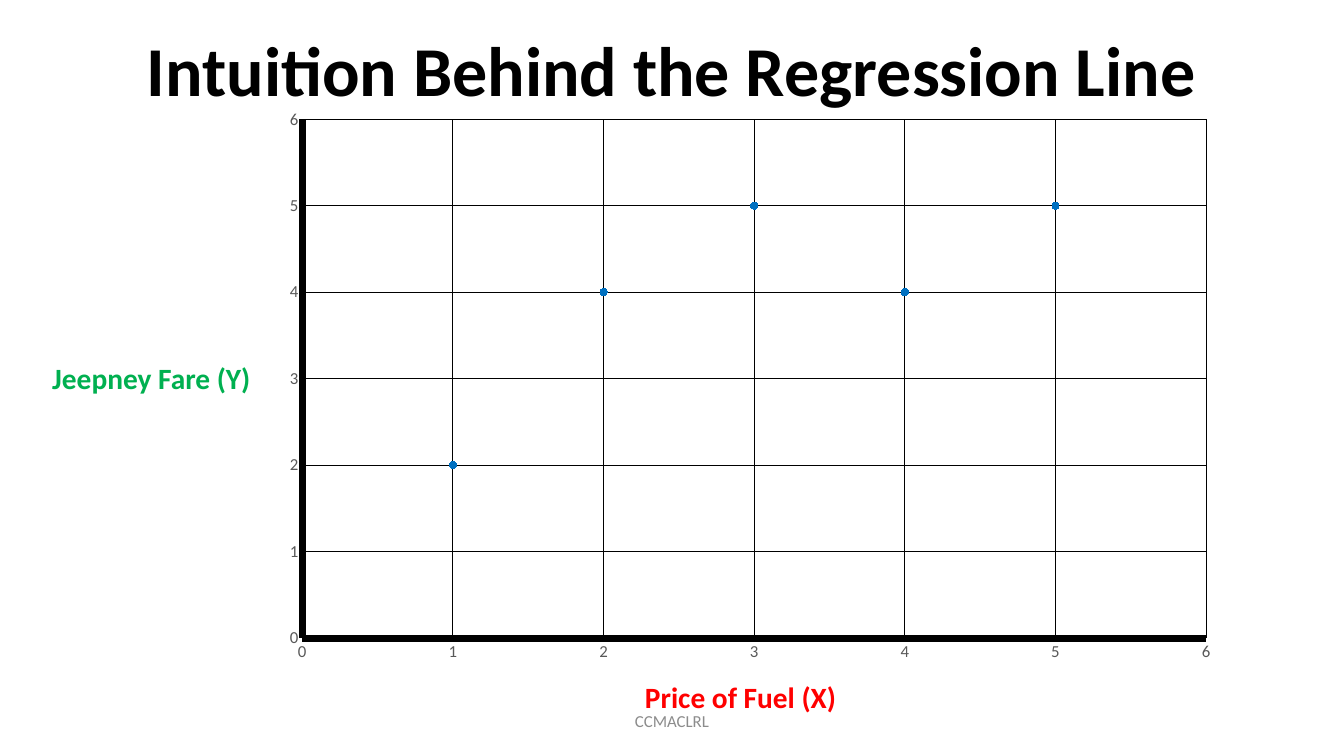
from lxml.etree import SubElement
from pptx import Presentation
from pptx.chart.data import XyChartData
from pptx.dml.color import RGBColor
from pptx.enum.chart import XL_CHART_TYPE, XL_MARKER_STYLE, XL_TICK_MARK
from pptx.enum.text import MSO_ANCHOR, PP_ALIGN
from pptx.oxml.ns import qn
from pptx.util import Pt


def rgb(value):
    return RGBColor.from_string(value)


def set_font(font, size, color, bold=False):
    values = {"name": "Calibri", "size": Pt(size), "bold": bold}
    for key, value in values.items():
        setattr(font, key, value)
    font.color.rgb = rgb(color)


prs = Presentation()
prs.slide_width, prs.slide_height = Pt(960), Pt(540)
s = prs.slides.add_slide(prs.slide_layouts[6])

data = XyChartData()
fares = data.add_series("Series 1")
for fuel, fare in enumerate([2, 4, 5, 4, 5], start=1):
    fares.add_data_point(fuel, fare)

chart = s.shapes.add_chart(
    XL_CHART_TYPE.XY_SCATTER, Pt(188.6), Pt(77.8), Pt(683.3), Pt(411.8), data
).chart
chart.has_legend = False
chart.has_title = False
set_font(chart.font, 10, "000000")

axis_format = {
    "minimum_scale": 0,
    "maximum_scale": 6,
    "major_unit": 1,
    "has_major_gridlines": True,
    "major_tick_mark": XL_TICK_MARK.NONE,
    "minor_tick_mark": XL_TICK_MARK.NONE,
}
for axis in (chart.category_axis, chart.value_axis):
    for key, value in axis_format.items():
        setattr(axis, key, value)
    set_font(axis.tick_labels.font, 12, "595959")
    for line, width in ((axis.format.line, 5), (axis.major_gridlines.format.line, 0.75)):
        line.color.rgb = rgb("000000")
        line.width = Pt(width)

plot = chart.plots[0]
plot.vary_by_categories = False
series = plot.series[0]
series.smooth = False
series.format.line.fill.background()
marker = series.marker
marker.style = XL_MARKER_STYLE.CIRCLE
marker.size = 5
marker.format.fill.solid()
marker.format.fill.fore_color.rgb = rgb("0070C0")
marker.format.line.color.rgb = rgb("0070C0")

plot_area = chart.element.find(".//" + qn("c:plotArea"))
layout = plot_area.find(qn("c:layout"))
if layout is None:
    layout = SubElement(plot_area, qn("c:layout"))
    plot_area.insert(0, layout)
manual = SubElement(layout, qn("c:manualLayout"))
placement = {
    "layoutTarget": "inner", "xMode": "edge", "yMode": "edge",
    "x": "0.04", "y": "0.018", "w": "0.945", "h": "0.9",
}
for tag, value in placement.items():
    SubElement(manual, qn("c:" + tag)).set("val", value)

left, center = PP_ALIGN.LEFT, PP_ALIGN.CENTER
top, middle, bottom = MSO_ANCHOR.TOP, MSO_ANCHOR.MIDDLE, MSO_ANCHOR.BOTTOM
texts = [
    ("Intuition Behind the Regression Line", (36, 26, 888, 57), 50, "000000", True, center, bottom, 0.9),
    ("Price of Fuel (X)", (453.6, 481.7, 152.6, 32.4), 21, "FF0000", True, left, top, 1),
    ("Jeepney Fare (Y)", (30.2, 253.4, 157.7, 32.4), 21, "00B050", True, left, top, 1),
    ("CCMACLRL", (318, 500.5, 324, 28.8), 12, "8C8C8C", False, center, middle, 1),
]
for text, box, size, color, bold, align, anchor, spacing in texts:
    tf = s.shapes.add_textbox(*map(Pt, box)).text_frame
    tf.word_wrap = align == center
    tf.vertical_anchor = anchor
    p = tf.paragraphs[0]
    p.alignment = align
    p.line_spacing = spacing
    r = p.add_run()
    r.text = text
    set_font(r.font, size, color, bold)

prs.save("out.pptx")
